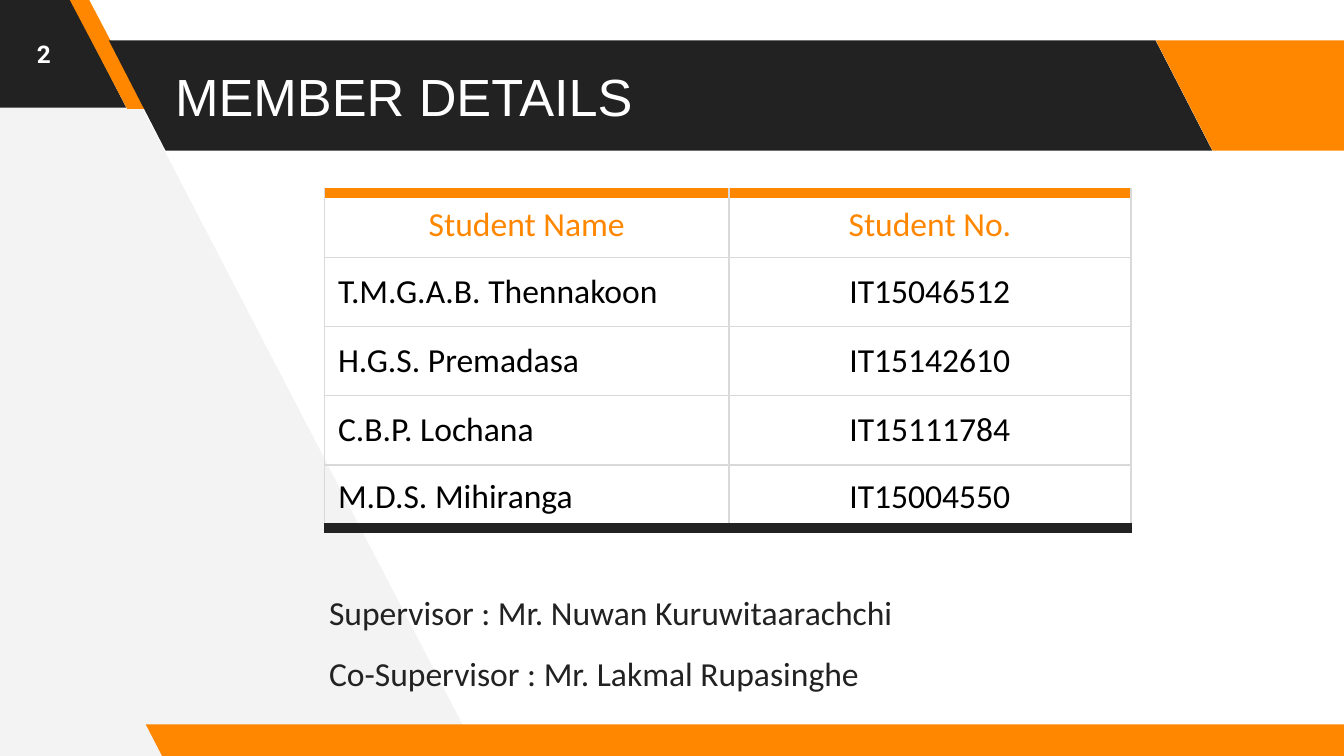
from lxml import etree
from pptx import Presentation
from pptx.dml.color import RGBColor
from pptx.enum.shapes import MSO_SHAPE
from pptx.enum.text import MSO_ANCHOR, PP_ALIGN
from pptx.oxml.ns import qn
from pptx.util import Emu, Pt

PX = 4572  # 200 px to the inch
PARALLELOGRAM = MSO_SHAPE.PARALLELOGRAM
MIDDLE, TOP = MSO_ANCHOR.MIDDLE, MSO_ANCHOR.TOP
LEFT, CENTER = PP_ALIGN.LEFT, PP_ALIGN.CENTER

ORANGE, DARK, PALE, GRID = "FF8700", "222222", "F3F3F3", "D9D9D9"
WHITE, BLACK = "FFFFFF", "000000"

# left, top, width, height, slant, colour
BANDS = [
    (-198, -4, 386, 164, 0.515, DARK),
    (103, -2, 115, 164, 0.75, ORANGE),
    (162, 60, 1642, 164, 0.515, DARK),
    (1720, 60, 384, 164, 0.515, ORANGE),
    (217, 1078, 1830, 50, 0.515, ORANGE),
]
MEMBERS = [
    ("Student Name", "Student No."),
    ("T.M.G.A.B. Thennakoon", "IT15046512"),
    ("H.G.S. Premadasa", "IT15142610"),
    ("C.B.P. Lochana", "IT15111784"),
    ("M.D.S. Mihiranga", "IT15004550"),
]
COLUMN_WIDTHS = (602, 598)
ROW_HEIGHTS = (96, 103, 103, 103, 94)


def px(*lengths):
    return [Emu(length * PX) for length in lengths]


def rgb(value):
    return RGBColor.from_string(value)


def paint(shape, color):
    shape.shadow.inherit = False
    shape.fill.solid()
    shape.fill.fore_color.rgb = rgb(color)
    shape.line.fill.background()


def style_text(frame, size, font, color, align=LEFT, bold=False, spacing=None):
    for para in frame.paragraphs:
        para.alignment = align
        para.line_spacing = spacing
        for span in para.runs:
            span.font.size = Pt(size)
            span.font.name = font
            span.font.bold = bold
            span.font.color.rgb = rgb(color)


def add_text(page, box, text, anchor, **style):
    frame = page.shapes.add_textbox(*px(*box)).text_frame
    frame.word_wrap = True
    frame.vertical_anchor = anchor
    frame.margin_left, frame.margin_top, frame.margin_right, frame.margin_bottom = px(20, 20, 20, 20)
    frame.text = text
    style_text(frame, **style)


def add_backdrop(page, box):
    """Pale wedge on the left, then the slanted bands."""
    left, top, width, height = box
    builder = page.shapes.build_freeform(left + width, top + height - 8, scale=PX)
    builder.add_line_segments(
        [(left + 136, top), (left, top), (left + 8, top + height)], close=True)
    paint(builder.convert_to_shape(), PALE)
    for *band_box, slant, color in BANDS:
        band = page.shapes.add_shape(PARALLELOGRAM, *px(*band_box))
        band.adjustments[0] = slant
        band._element.spPr.get_or_add_xfrm().set("flipH", "1")
        paint(band, color)


def set_borders(cell, top, bottom):
    """Thin grid lines; top and bottom are (colour, points)."""
    thin = (GRID, 0.75)
    sides = {"a:lnL": thin, "a:lnR": thin, "a:lnT": top, "a:lnB": bottom}
    properties = cell._tc.get_or_add_tcPr()
    for position, (tag, (color, points)) in enumerate(sides.items()):
        line = etree.Element(qn(tag), w=str(int(Pt(points))))
        fill = etree.SubElement(line, qn("a:solidFill"))
        etree.SubElement(fill, qn("a:srgbClr"), val=color)
        properties.insert(position, line)


def add_member_table(page, left, top):
    box = px(left, top, sum(COLUMN_WIDTHS), sum(ROW_HEIGHTS))
    table = page.shapes.add_table(len(MEMBERS), len(COLUMN_WIDTHS), *box).table
    table.first_row = table.horz_banding = False
    for column, width in zip(table.columns, px(*COLUMN_WIDTHS)):
        column.width = width
    for row, height in zip(table.rows, px(*ROW_HEIGHTS)):
        row.height = height
    last = len(MEMBERS) - 1
    for r, member in enumerate(MEMBERS):
        for c, text in enumerate(member):
            cell = table.cell(r, c)
            cell.text = text
            cell.vertical_anchor = MIDDLE
            cell.margin_left, cell.margin_top, cell.margin_right, cell.margin_bottom = px(20, 14, 20, 14)
            style_text(cell.text_frame, 18, "Calibri", BLACK if r else ORANGE,
                       LEFT if r and c == 0 else CENTER)
            cell.fill.background()
            set_borders(cell,
                        top=(GRID, 0.75) if r else (ORANGE, 6),
                        bottom=(DARK, 6) if r == last else (GRID, 0.75))


def build_member_slide(deck):
    page = deck.slides.add_slide(deck.slide_layouts[6])
    add_backdrop(page, (-12, -8, 724, 1140))
    add_text(page, (241, 60, 1656, 164), "MEMBER DETAILS", MIDDLE,
             size=28, font="Arial", color=WHITE)
    add_text(page, (470, 831, 1212, 180),
             "Supervisor : Mr. Nuwan Kuruwitaarachchi\n"
             "Co-Supervisor : Mr. Lakmal Rupasinghe", TOP,
             size=18, font="Calibri", color=DARK, spacing=1.5)
    add_text(page, (0, 0, 130, 160), "2", MIDDLE,
             size=13, font="Roboto", color=WHITE, align=CENTER, bold=True)
    add_member_table(page, 483, 287)


def main():
    deck = Presentation()
    deck.slide_width, deck.slide_height = px(2000, 1125)
    build_member_slide(deck)
    deck.save("out.pptx")


if __name__ == "__main__":
    main()
